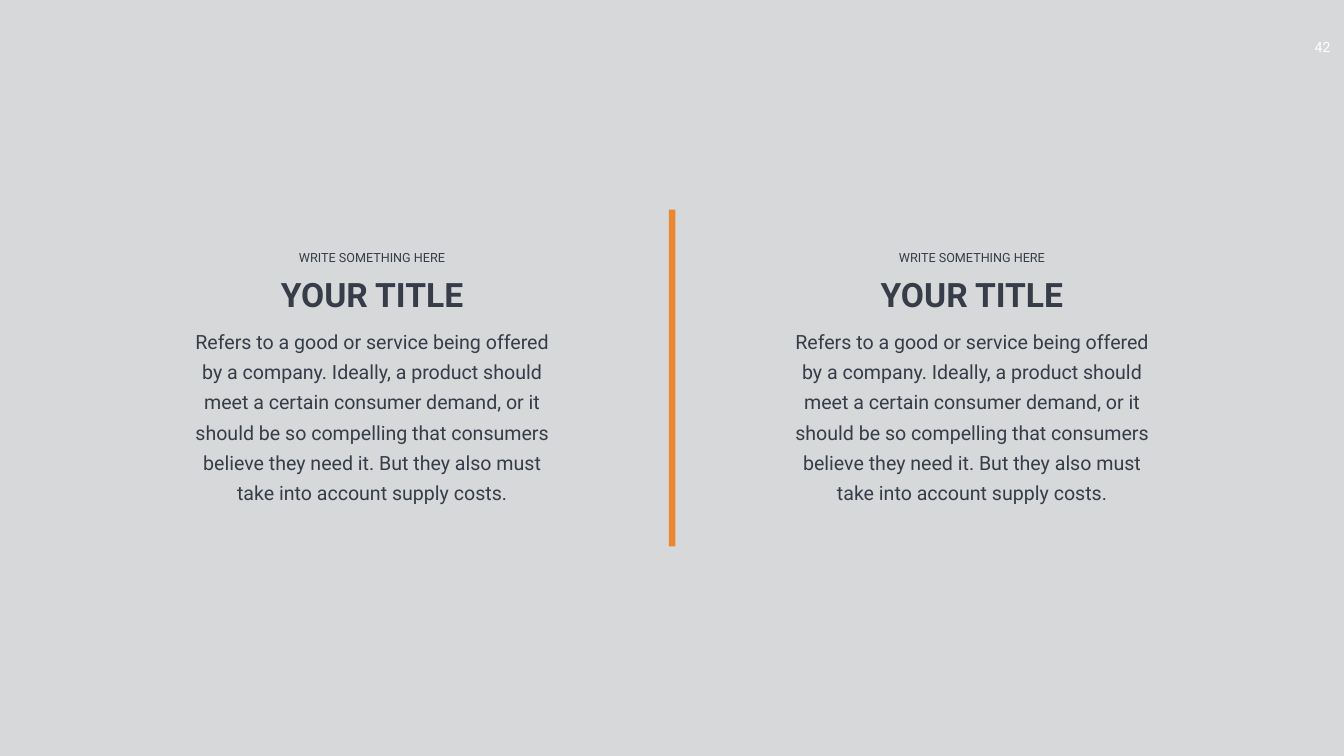
from lxml import etree
from pptx import Presentation
from pptx.dml.color import RGBColor
from pptx.enum import shapes, text
from pptx.oxml import ns
from pptx.util import Inches, Pt

COLORS = {"dark": "363D48", "white": "FFFFFF", "accent": "EA8831"}
FONT = "Roboto"
WIDTH, HEIGHT = 26.66, 15
COLUMN_CENTERS = (7.38, 19.28)
HEADING = "YOUR TITLE"
CAPTION = "WRITE SOMETHING HERE"
BODY = (
    "Refers to a good or service being offered by a company. "
    "Ideally, a product should meet a certain consumer demand, or it should be "
    "so compelling that consumers believe they need it. "
    "But they also must take into account supply costs."
)


def color(name):
    return RGBColor.from_string(COLORS[name])


def place(item, left, top, width, height):
    item.left, item.top = Inches(left), Inches(top)
    item.width, item.height = Inches(width), Inches(height)


def add_bar(slide, left, top, width, height, fill):
    bar = slide.shapes.add_shape(
        shapes.MSO_SHAPE.RECTANGLE,
        Inches(left), Inches(top), Inches(width), Inches(height),
    )
    bar.shadow.inherit = False
    bar.fill.solid()
    bar.fill.fore_color.rgb = color(fill)
    bar.line.fill.background()
    return bar


def add_veil(slide):
    veil = add_bar(slide, 0, 0, WIDTH, HEIGHT, "white")
    tint = veil.fill._xPr.find(ns.qn("a:solidFill"))[0]
    etree.SubElement(tint, ns.qn("a:alpha"), val="80000")
    slide.shapes._spTree.insert(2, veil._element)


def add_box(slide):
    return slide.shapes.add_textbox(0, 0, 0, 0)


def write(box, words, size, ink="dark", bold=False, inset=(0.1, 0.05),
          spacing=1.0, wrap=True):
    frame = box.text_frame
    frame.text = words
    frame.word_wrap = wrap
    frame.auto_size = text.MSO_AUTO_SIZE.NONE
    frame.vertical_anchor = text.MSO_ANCHOR.TOP
    frame.margin_left = frame.margin_right = Inches(inset[0])
    frame.margin_top = frame.margin_bottom = Inches(inset[1])
    paragraph = frame.paragraphs[0]
    properties = paragraph._p.get_or_add_pPr()
    properties.set("marL", "0")
    properties.set("indent", "0")
    etree.SubElement(properties, ns.qn("a:buNone"))
    paragraph.alignment = text.PP_ALIGN.CENTER
    paragraph.line_spacing = spacing
    paragraph.space_before = Pt(0)
    font = paragraph.runs[0].font
    font.name, font.size, font.bold = FONT, Pt(size), bold
    font.color.rgb = color(ink)


def add_column(slide, center, heading, body):
    caption = add_box(slide)
    place(heading, center - 2.6, 5.39, 5.2, 0.91)
    place(caption, center - 2.6, 4.9, 5.2, 0.4)
    place(body, center - 3.82, 6.3, 7.64, 3.8)
    write(heading, HEADING, 48, bold=True)
    write(caption, CAPTION, 18)
    write(body, BODY, 28, inset=(0.24, 0.12), spacing=Pt(43))


def add_page_number(slide):
    number = add_box(slide)
    place(number, 25.78, 0.67, 0.91, 0.54)
    write(number, "42", 20, ink="white", inset=(0.2, 0.1), wrap=False)


def main():
    deck = Presentation()
    deck.slide_width, deck.slide_height = Inches(WIDTH), Inches(HEIGHT)
    slide = deck.slides.add_slide(deck.slide_layouts.get_by_name("Comparison"))
    slide.background.fill.solid()
    slide.background.fill.fore_color.rgb = color("dark")

    slots = {slot.placeholder_format.idx: slot for slot in slide.placeholders}
    spare = slots[1]._element
    spare.getparent().remove(spare)

    add_veil(slide)
    add_page_number(slide)
    columns = ((slots[0], slots[2]), (slots[3], slots[4]))
    for center, (heading, body) in zip(COLUMN_CENTERS, columns):
        add_column(slide, center, heading, body)
    add_bar(slide, 13.27, 4.16, 0.13, 6.68, "accent")
    deck.save("out.pptx")


if __name__ == "__main__":
    main()
